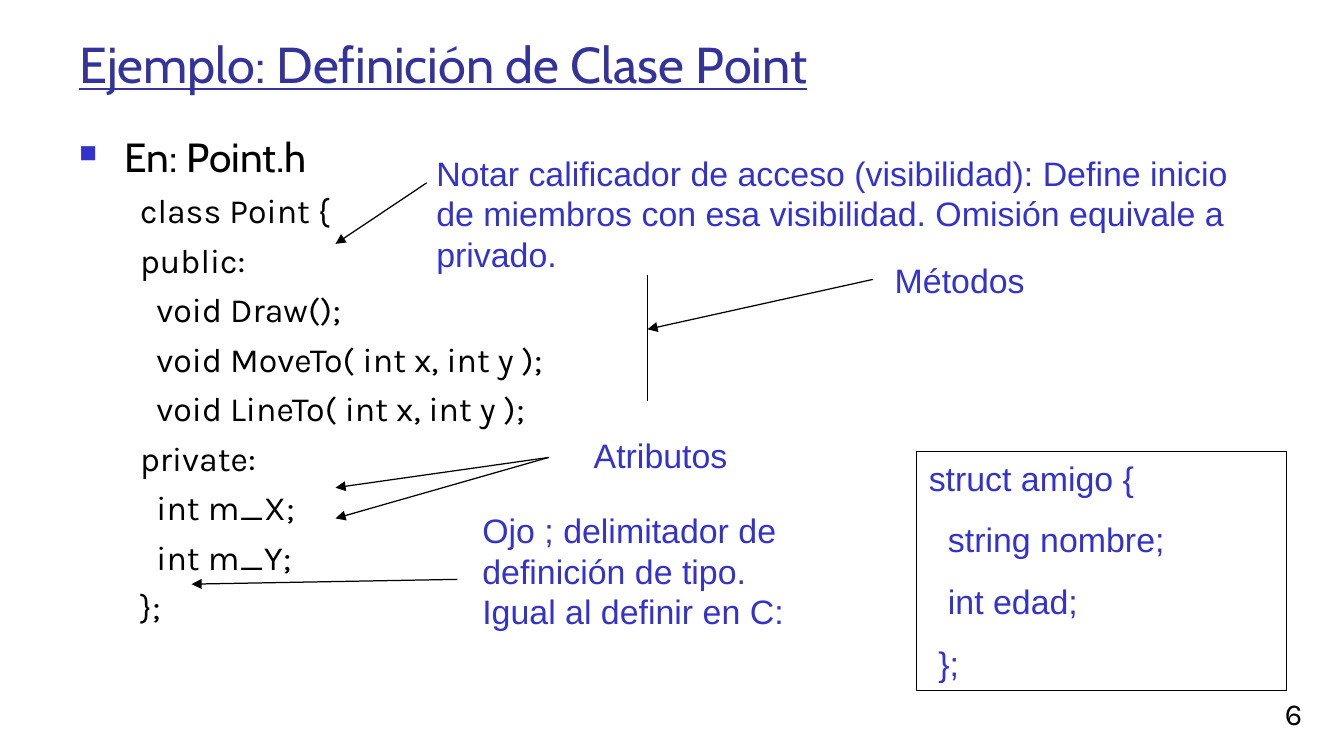
from lxml.etree import SubElement
from pptx import Presentation
from pptx.dml.color import RGBColor as Rgb
from pptx.enum.shapes import MSO_CONNECTOR as Conn, MSO_SHAPE as Form
from pptx.enum.text import MSO_ANCHOR as Anchor, PP_ALIGN as Align
from pptx.oxml.ns import qn
from pptx.util import Cm, Pt

INK = {"title": "333399", "note": "3333CC", "text": "000000"}


def style(para, size, font, ink, before=0, line=None, left=0, hang=0):
    para.space_before = Pt(before)
    if line:
        para.line_spacing = line
    props = para._p.get_or_add_pPr()
    props.set("marL", str(Cm(left)))
    props.set("indent", str(Cm(-hang)))
    for run in para.runs:
        run.font.size = Pt(size)
        run.font.name = font
        run.font.color.rgb = Rgb.from_string(INK[ink])


def frame(slide, box, text, anchor=Anchor.TOP):
    body = slide.shapes.add_textbox(*map(Cm, box)).text_frame
    body.word_wrap = True
    body.vertical_anchor = anchor
    body.text = text
    return body


def bullet(para):
    props = para._p.get_or_add_pPr()
    color = SubElement(props, qn("a:buClr"))
    SubElement(color, qn("a:srgbClr"), val=INK["note"])
    SubElement(props, qn("a:buSzPct"), val="60000")
    SubElement(props, qn("a:buChar"), char="■")


def link(slide, start, end, arrow=True):
    line = slide.shapes.add_connector(Conn.STRAIGHT, *map(Cm, start + end))
    line.line.color.rgb = Rgb.from_string(INK["text"])
    line.line.width = Pt(0.75)
    if arrow:
        SubElement(line.line._get_or_add_ln(), qn("a:tailEnd"), type="triangle")
    SubElement(line._element.spPr, qn("a:effectLst"))


def title(slide, box):
    para = frame(slide, box, "Ejemplo: Definición de Clase Point", Anchor.BOTTOM).paragraphs[0]
    style(para, 29.8, "Cabin", "title", line=1.01)
    para.runs[0].font.underline = True


def code(slide, box):
    rows = [
        (0, "class Point {"),
        (0, "public:"),
        (1, "void Draw();"),
        (1, "void MoveTo( int x, int y );"),
        (1, "void LineTo( int x, int y );"),
        (0, "private:"),
        (1, "int m_X;"),
        (1, "int m_Y;"),
        (0, "};"),
    ]
    body = frame(slide, box, "En: Point.h")
    head = body.paragraphs[0]
    style(head, 24, "Cabin", "text", 5, 1.01, 0.94, 0.94)
    bullet(head)
    for level, text in rows:
        para = body.add_paragraph()
        para.text = text
        style(para, 20, "Karla", "text", 5, 1.01, 1.27 + 0.34 * level)


def note(slide, box, text, shift, tips):
    style(frame(slide, box, text).paragraphs[0], 20, "Arial", "note", 12.5)
    start = (box[0] + shift[0], box[1] + shift[1])
    for tip in tips:
        link(slide, start, tip)


def struct(slide, box):
    rows = [(0, "struct amigo {"), (2, "string nombre;"), (2, "int edad;"), (1, "};")]
    card = slide.shapes.add_shape(Form.RECTANGLE, *map(Cm, box))
    card.shadow.inherit = False
    card.fill.background()
    card.line.color.rgb = Rgb.from_string(INK["text"])
    card.line.width = Pt(0)
    body = card.text_frame
    body.vertical_anchor = Anchor.TOP
    body.text = "\n".join(text for _, text in rows)
    for para, (level, _) in zip(body.paragraphs, rows):
        para.alignment = Align.LEFT
        style(para, 20, "Arial", "note", 12.5, left=0.2 * level)


def number(slide, box):
    para = frame(slide, box, "6", Anchor.BOTTOM).paragraphs[0]
    para.alignment = Align.RIGHT
    style(para, 18, "Karla", "text", line=1.01)


def main():
    deck = Presentation()
    deck.slide_width, deck.slide_height = Cm(28), Cm(15.75)
    slide = deck.slides.add_slide(deck.slide_layouts[6])
    title(slide, (1.4, 0.3, 25.93, 1.78))
    code(slide, (1.4, 2.62, 25.88, 11.46))
    struct(slide, (19.1, 9.4, 7.7, 4.98))
    notes = [
        ((8.84, 3.05, 17.83, 2.79),
         "Notar calificador de acceso (visibilidad): Define inicio de miembros "
         "con esa visibilidad. Omisión equivale a privado.",
         (0.05, 0.76), [(6.99, 5.08)]),
        ((18.39, 5.28, 5.13, 1.12), "Métodos", (-0.2, 0.54), [(13.49, 6.86)]),
        ((12.12, 8.94, 4.67, 1.12), "Atributos", (-0.69, 0.59),
         [(6.99, 10.16), (6.99, 10.8)]),
        ((9.8, 10.49, 7.7, 2.79),
         "Ojo ; delimitador de definición de tipo. Igual al definir en C:",
         (-0.27, 1.58), [(3.99, 12.17)]),
    ]
    for item in notes:
        note(slide, *item)
    link(slide, (13.49, 5.72), (13.49, 8.36), arrow=False)
    number(slide, (21.56, 14.33, 5.82, 1.04))
    deck.save("out.pptx")


if __name__ == "__main__":
    main()
